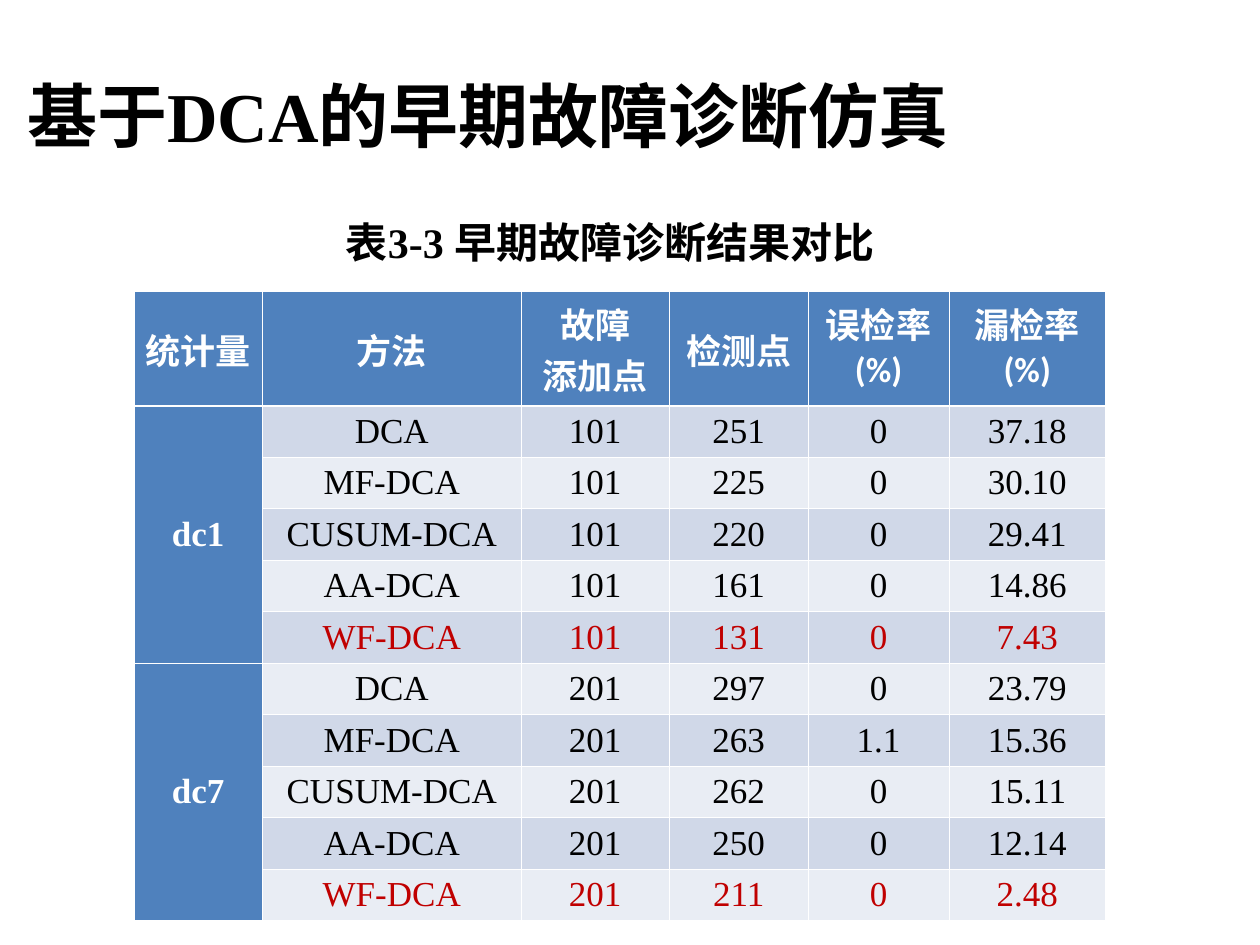
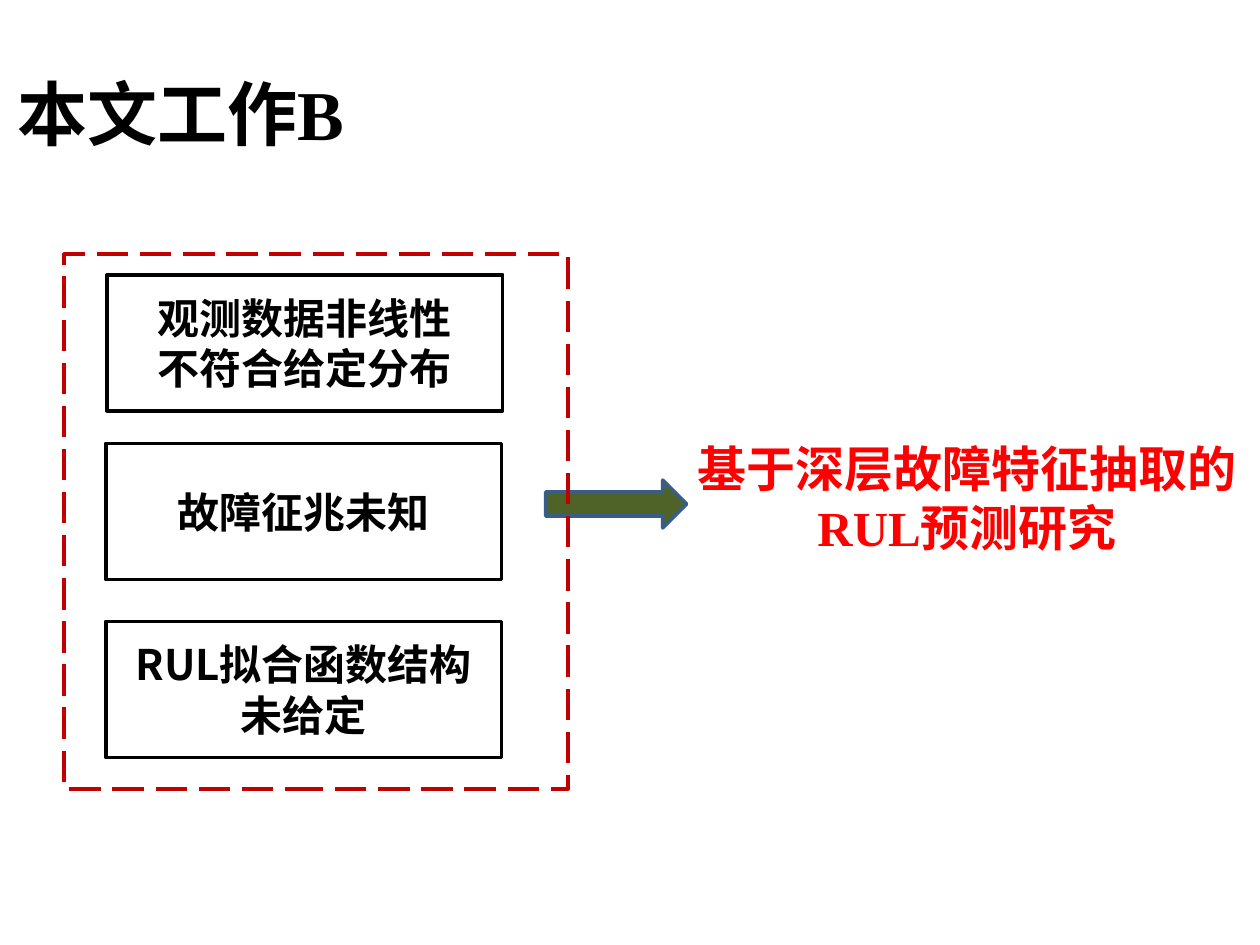
import pptx
import pptx.dml.color
import pptx.enum.dml
import pptx.enum.shapes
import pptx.enum.text
import pptx.oxml
import pptx.oxml.ns
import pptx.util
from lxml import etree

Pt = pptx.util.Pt
Align = pptx.enum.text.PP_ALIGN
Anchor = pptx.enum.text.MSO_ANCHOR
Preset = pptx.enum.shapes.MSO_SHAPE

COLOURS = {
    "ink": "000000", "white": "FFFFFF", "header": "4F81BD", "band": "D0D8E8",
    "pale": "E9EDF4", "accent": "C00000", "conclusion": "FF0000",
    "arrow": "4F6228", "arrow_edge": "385D8A",
}
CHINESE, LATIN, HEADING = "Noto Sans CJK SC", "Times New Roman", "Calibri"

COLUMN_WIDTHS = [73.6, 147.6, 84.7, 79.4, 80.5, 89.5]
HEADINGS = ["统计量", "方法", "故障\n添加点", "检测点", "误检率(%)", "漏检率(%)"]
METHODS = ["DCA", "MF-DCA", "CUSUM-DCA", "AA-DCA", "WF-DCA"]
RESULTS = {
    "dc1": ("101", [("251", "0", "37.18"), ("225", "0", "30.10"), ("220", "0", "29.41"),
                    ("161", "0", "14.86"), ("131", "0", "7.43")]),
    "dc7": ("201", [("297", "0", "23.79"), ("263", "1.1", "15.36"), ("262", "0", "15.11"),
                    ("250", "0", "12.14"), ("211", "0", "2.48")]),
}


def colour(name):
    """Return the named colour of the palette."""
    return pptx.dml.color.RGBColor.from_string(COLOURS[name])


def paint(target, name):
    """Fill a shape, line or cell with a solid colour."""
    target.fill.solid()
    target.fill.fore_color.rgb = colour(name)


def write(frame, lines, size, ink="ink", bold=True, font=CHINESE, align=Align.CENTER):
    """Write lines, each a string or a list of (text, font) spans."""
    frame.word_wrap = True
    for index, line in enumerate(lines):
        para = frame.paragraphs[0] if index == 0 else frame.add_paragraph()
        para.alignment = align
        para.font.size, para.font.bold, para.font.name = Pt(size), bold, font
        para.font.color.rgb = colour(ink)
        defaults = para._p.pPr.find(pptx.oxml.ns.qn("a:defRPr"))
        etree.SubElement(defaults, pptx.oxml.ns.qn("a:ea"), typeface=CHINESE)
        for text, face in [(line, font)] if isinstance(line, str) else line:
            span = para.add_run()
            span.text = text
            if face != font:
                span.font.name = face


def add_text(page, area, lines, size, anchor=Anchor.MIDDLE, **style):
    """Add a text box."""
    frame = page.shapes.add_textbox(*map(Pt, area)).text_frame
    frame.vertical_anchor = anchor
    write(frame, lines, size, **style)


def add_title(page, area, spans):
    """Add the slide title."""
    add_text(page, area, [spans], 40, align=Align.LEFT)


def add_outline(page, area, line, width, preset=Preset.RECTANGLE, fill=None):
    """Add a preset shape with a plain outline."""
    shape = page.shapes.add_shape(preset, *map(Pt, area))
    shape.shadow.inherit = False
    if fill:
        paint(shape, fill)
    else:
        shape.fill.background()
    shape.line.color.rgb = colour(line)
    shape.line.width = Pt(width)
    return shape


def add_problem(page, area, lines):
    """Add a black-edged box naming one problem."""
    box = add_outline(page, area, "ink", 2)
    box.text_frame.vertical_anchor = Anchor.MIDDLE
    write(box.text_frame, lines, 24)


def add_borders(cell, widths):
    """Give a cell white borders with the widths for its sides."""
    properties = cell._tc.get_or_add_tcPr()
    for index, (side, width) in enumerate(widths.items()):
        properties.insert(index, pptx.oxml.parse_xml(
            f'<a:ln{side} {pptx.oxml.ns.nsdecls("a")} w="{Pt(width)}"><a:solidFill>'
            f'<a:srgbClr val="{COLOURS["white"]}"/></a:solidFill></a:ln{side}>'))


def fill_cell(cell, text, fill, row, middle=False, **style):
    """Write one table cell with its fill and borders."""
    cell.margin_left = cell.margin_right = Pt(5)
    cell.margin_top = cell.margin_bottom = Pt(3.6)
    cell.vertical_anchor = Anchor.MIDDLE if middle else Anchor.TOP
    paint(cell, fill)
    add_borders(cell, {"L": 0.45, "R": 0.45, "T": 1.47 if row == 1 else 0.45,
                       "B": 1.47 if row == 0 else 0.45})
    if text:
        write(cell.text_frame, text.split("\n"), 20, **style)


def add_results(page, left, top):
    """Add the table that compares the methods."""
    count = len(METHODS)
    heights = [48.2] + ([25.2] * (count - 1) + [28.8]) * len(RESULTS)
    table = page.shapes.add_table(
        len(heights), len(COLUMN_WIDTHS), Pt(left), Pt(top),
        Pt(sum(COLUMN_WIDTHS)), Pt(sum(heights))).table
    table.first_row = table.horz_banding = False
    for column, width in zip(table.columns, COLUMN_WIDTHS):
        column.width = Pt(width)
    for row, height in zip(table.rows, heights):
        row.height = Pt(height)
    for index, text in enumerate(HEADINGS):
        fill_cell(table.cell(0, index), text, "header", 0, middle=index in (0, 1, 3),
                  ink="white", font=HEADING)
    for group, (statistic, (fault, values)) in enumerate(RESULTS.items()):
        first = 1 + group * count
        for row, (method, value) in enumerate(zip(METHODS, values), first):
            fill_cell(table.cell(row, 0), statistic if row == first else "", "header", row,
                      middle=True, ink="white", font=LATIN)
            for index, text in enumerate((method, fault, *value), 1):
                fill_cell(table.cell(row, index), text, "band" if row % 2 else "pale", row,
                          ink="accent" if method == "WF-DCA" else "ink",
                          bold=False, font=LATIN)
        table.cell(first, 0).merge(table.cell(first + count - 1, 0))


def build_comparison(page):
    """Build the slide with the diagnosis results."""
    add_results(page, 76.5, 166.6)
    add_text(page, (76.5, 120.3, 544.3, 36),
             [[("表", CHINESE), ("3-3 ", LATIN), ("早期故障诊断结果对比", CHINESE)]],
             24, anchor=Anchor.TOP)
    add_title(page, (8.6, 37.4, 626.4, 56.2),
              [("基于", CHINESE), ("DCA", LATIN), ("的早期故障诊断仿真", CHINESE)])


def build_work(page):
    """Build the slide that leads from the problems to the study."""
    add_text(page, (388.1, 241.9, 329, 85),
             ["基于深层故障特征抽取的", [("RUL", LATIN), ("预测研究", CHINESE)]],
             28, ink="conclusion")
    add_outline(page, (311.8, 274.3, 80.6, 27.4), "arrow_edge", 2,
                Preset.RIGHT_ARROW, "arrow")
    problems = [
        (61.2, 157, ["观测数据非线性", "不符合给定分布"]),
        (60.5, 253.4, ["故障征兆未知"]),
        (60.5, 355, ["RUL拟合函数结构", "未给定"]),
    ]
    for left, top, lines in problems:
        add_problem(page, (left, top, 226.1, 77.8), lines)
    group = add_outline(page, (36.7, 145.4, 288, 305.3), "accent", 2.25)
    group.line.dash_style = pptx.enum.dml.MSO_LINE.LONG_DASH
    add_title(page, (2.9, 31.7, 216.7, 65.5), [("本文工作", CHINESE), ("B", LATIN)])


def main():
    """Build and save the deck."""
    deck = pptx.Presentation()
    deck.slide_width, deck.slide_height = Pt(720), Pt(540)
    for build in (build_comparison, build_work):
        build(deck.slides.add_slide(deck.slide_layouts[6]))
    deck.save("out.pptx")


if __name__ == "__main__":
    main()
